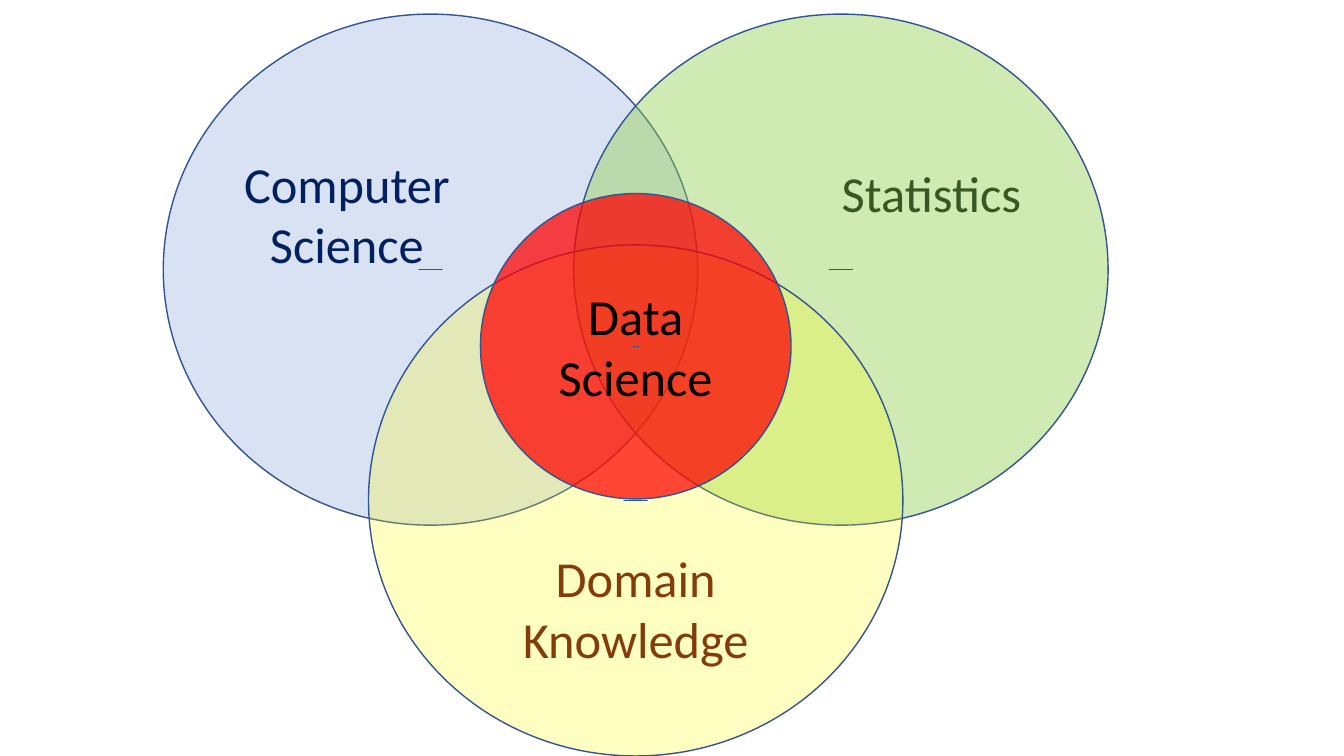
from lxml.etree import SubElement
from pptx import Presentation
from pptx.dml.color import RGBColor
from pptx.enum.shapes import MSO_SHAPE as Shape
from pptx.enum.text import MSO_AUTO_SIZE as AutoSize, PP_ALIGN as Align
from pptx.oxml.ns import qn
from pptx.util import Inches, Pt

WIDTH, HEIGHT = Inches(13.33), Inches(7.5)
COLORS = {
    "outline": "325491",
    "computer": "B4C7E7", "computer_text": "002060",
    "statistics": "92D050", "statistics_text": "385723",
    "domain": "FFFF00", "domain_text": "843C0B",
    "data": "FF0000", "data_text": "000000",
}

# Positions and sizes are percentages of the slide's width and height
MIDDLE, SPREAD = 47.3, 15.27
TOP_ROW, BOTTOM_ROW, CORE_ROW = 35.67, 66.2, 45.8
FIELD_SIZE, CORE_SIZE = (39.76, 67.6), (23.11, 40.4)
ONE_LINE, TWO_LINES = 9.47, 17.47

# Name, centre, size, opacity
CIRCLES = [
    ("computer", (MIDDLE - SPREAD, TOP_ROW), FIELD_SIZE, 50),
    ("statistics", (MIDDLE + SPREAD, TOP_ROW), FIELD_SIZE, 43),
    ("domain", (MIDDLE, BOTTOM_ROW), FIELD_SIZE, 24),
    ("data", (MIDDLE, CORE_ROW), CORE_SIZE, 73),
]

# Name, lines, centre, size, alignment
LABELS = [
    ("computer", ["Computer", "Science"], (25.81, 28.33), (16.95, TWO_LINES), Align.CENTER),
    ("statistics", ["Statistics"], (69.43, 25.53), (15.08, ONE_LINE), Align.LEFT),
    ("domain", ["Domain", "Knowledge"], (MIDDLE, 80.47), (18.45, TWO_LINES), Align.CENTER),
    ("data", ["Data", "Science"], (MIDDLE, CORE_ROW), (13.05, TWO_LINES), Align.CENTER),
]


def color(name):
    return RGBColor.from_string(COLORS[name])


def frame(center, size):
    """Turn a centre and size in percent into left, top, width, height."""
    (x, y), (width, height) = center, size
    return (int(WIDTH * (x - width / 2) / 100), int(HEIGHT * (y - height / 2) / 100),
            int(WIDTH * width / 100), int(HEIGHT * height / 100))


def add_circle(page, name, center, size, opacity):
    circle = page.shapes.add_shape(Shape.DONUT, *frame(center, size))
    circle.adjustments[0] = 0.5
    circle.shadow.inherit = False
    circle.fill.solid()
    circle.fill.fore_color.rgb = color(name)
    fill_color = circle.fill._xPr.find(qn("a:solidFill"))[0]
    SubElement(fill_color, qn("a:alpha")).set("val", str(opacity * 1000))
    circle.line.color.rgb = color("outline")
    circle.line.width = Pt(1)


def add_label(page, name, lines, center, size, alignment):
    box = page.shapes.add_textbox(*frame(center, size))
    text = box.text_frame
    text.word_wrap = False
    text.auto_size = AutoSize.SHAPE_TO_FIT_TEXT
    for index, line in enumerate(lines):
        para = text.add_paragraph() if index else text.paragraphs[0]
        para.alignment = alignment
        span = para.add_run()
        span.text = line
        span.font.name = "Calibri"
        span.font.size = Pt(36)
        span.font.color.rgb = color(f"{name}_text")


def main():
    deck = Presentation()
    deck.slide_width, deck.slide_height = WIDTH, HEIGHT
    page = deck.slides.add_slide(deck.slide_layouts[6])

    # Overlapping fields, with data science at the core
    for circle in CIRCLES:
        add_circle(page, *circle)

    # Names of the fields
    for label in LABELS:
        add_label(page, *label)

    deck.save("out.pptx")


main()
